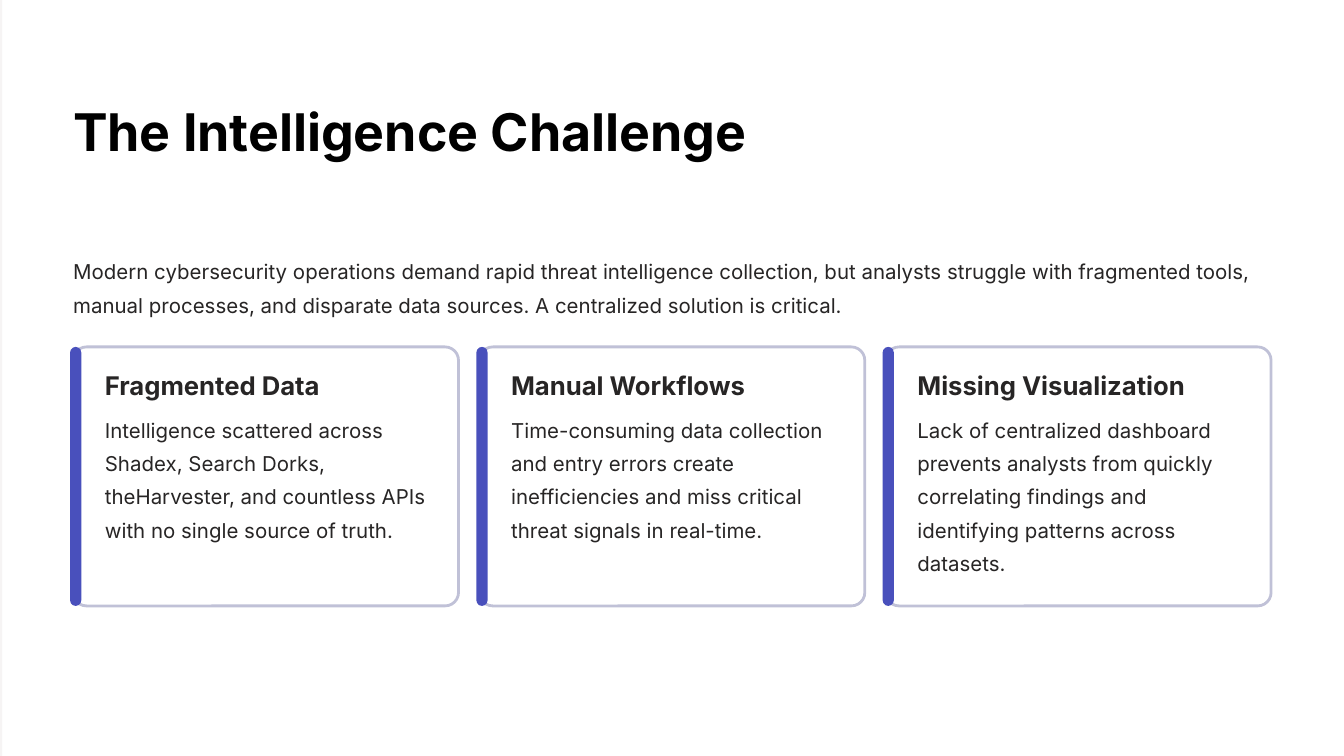
from typing import NamedTuple

from pptx import Presentation
from pptx.dml.color import RGBColor
from pptx.enum.shapes import MSO_SHAPE
from pptx.util import Pt

RECT = MSO_SHAPE.RECTANGLE
ROUND = MSO_SHAPE.ROUNDED_RECTANGLE

FONT = "Inter"
WHITE, EDGE, BLACK = "FFFFFF", "F6F4F4", "000000"
INK, FRAME, ACCENT = "272525", "C0C1D7", "4950BC"


class Box(NamedTuple):
    left: float
    top: float
    width: float
    height: float


class Style(NamedTuple):
    size: float
    lead: float
    color: str
    bold: bool = False


class Card(NamedTuple):
    head: str
    body: str


TITLE = Style(55.6, 69.4, BLACK, True)
HEAD = Style(27.5, 34.4, INK, True)
BODY = Style(21.9, 35.6, INK)

# Card grid
LEFT, TOP, WIDTH, HEIGHT = 78.3, 371.7, 413, 277.5
PITCH = 435.3
RADIUS = 14.4

CARDS = [
    Card("Fragmented Data",
         "Intelligence scattered across Shadex, Search Dorks, theHarvester, "
         "and countless APIs with no single source of truth."),
    Card("Manual Workflows",
         "Time-consuming data collection and entry errors create "
         "inefficiencies and miss critical threat signals in real-time."),
    Card("Missing Visualization",
         "Lack of centralized dashboard prevents analysts from quickly "
         "correlating findings and identifying patterns across datasets."),
]


def rgb(code: str) -> RGBColor:
    return RGBColor.from_string(code)


def add_text(slide, box: Box, text: str, style: Style) -> None:
    frame = slide.shapes.add_textbox(*map(Pt, box)).text_frame
    frame.word_wrap = True
    frame.margin_left = frame.margin_right = 0
    frame.margin_top = frame.margin_bottom = 0
    para = frame.paragraphs[0]
    para.line_spacing = Pt(style.lead)
    run = para.add_run()
    run.text = text
    run.font.name = FONT
    run.font.size = Pt(style.size)
    run.font.bold = style.bold
    run.font.color.rgb = rgb(style.color)


def add_block(slide, kind, box: Box, fill: str, line: str = "",
              radius: float = 0) -> None:
    shape = slide.shapes.add_shape(kind, *map(Pt, box))
    shape.shadow.inherit = False
    shape.fill.solid()
    shape.fill.fore_color.rgb = rgb(fill)
    if line:
        shape.line.color.rgb = rgb(line)
        shape.line.width = Pt(3)
    else:
        shape.line.fill.background()
    if radius:
        shape.adjustments[0] = radius / min(box.width, box.height)


def add_card(slide, left: float, card: Card) -> None:
    add_block(slide, ROUND, Box(left, TOP, WIDTH, HEIGHT), WHITE, FRAME, RADIUS)
    add_block(slide, ROUND, Box(left - 3.2, TOP, 12, HEIGHT), ACCENT, radius=6)
    inner = left + 34
    add_text(slide, Box(inner, 395.3, 320, 36.7), card.head, HEAD)
    add_text(slide, Box(inner, 438.5, 353.5, 185), card.body, BODY)


def main() -> None:
    deck = Presentation()
    deck.slide_width, deck.slide_height = Pt(1440), Pt(810)
    slide = deck.slides.add_slide(deck.slide_layouts[6])

    # Background and thin left edge
    slide.background.fill.solid()
    slide.background.fill.fore_color.rgb = rgb(WHITE)
    add_block(slide, RECT, Box(0, 0, 2.2, 810), EDGE)

    # Title and intro
    add_text(slide, Box(78.3, 104.4, 760, 72), "The Intelligence Challenge", TITLE)
    add_text(slide, Box(78.3, 268.6, 1284, 78.5),
             "Modern cybersecurity operations demand rapid threat intelligence "
             "collection, but analysts struggle with fragmented tools, manual "
             "processes, and disparate data sources. A centralized solution is "
             "critical.", BODY)

    # Cards
    for i, card in enumerate(CARDS):
        add_card(slide, LEFT + i * PITCH, card)

    deck.save("out.pptx")


if __name__ == "__main__":
    main()
